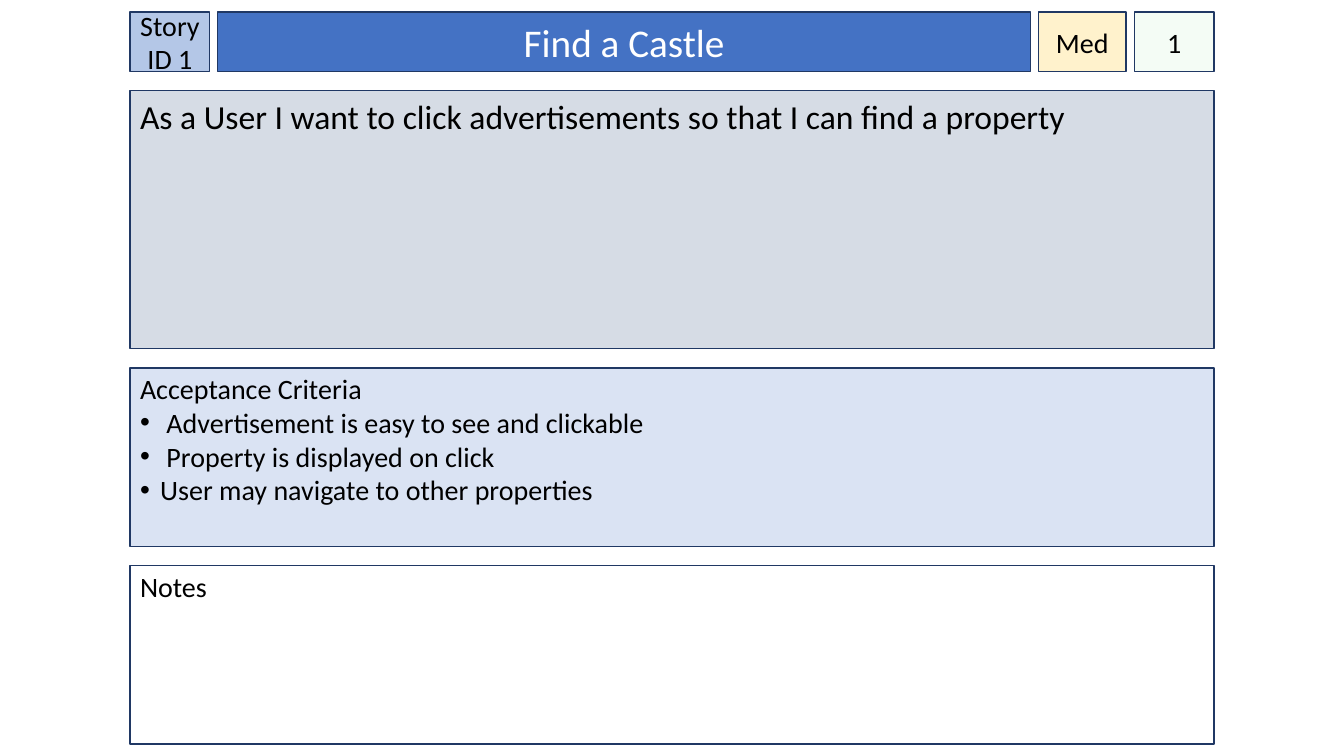
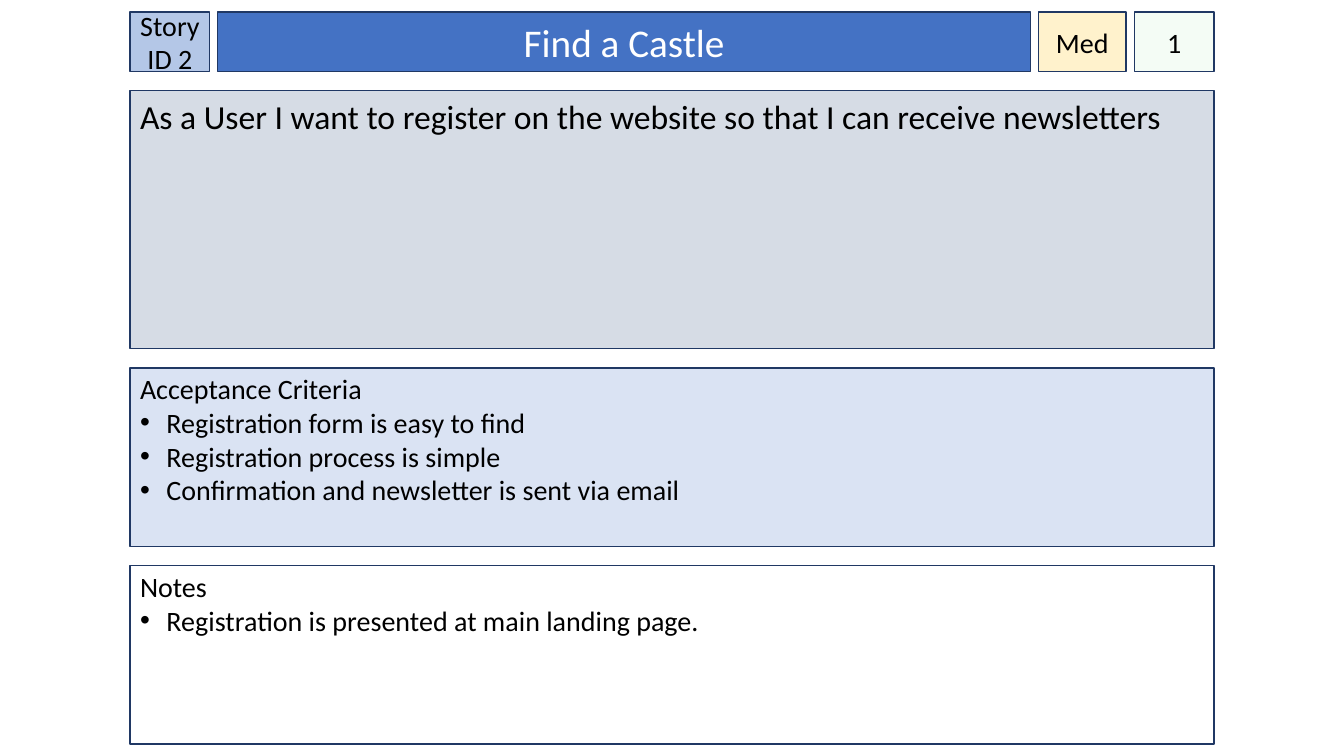
from dataclasses import dataclass
from typing import NamedTuple

from lxml.etree import SubElement
from pptx import Presentation
from pptx.dml.color import RGBColor
from pptx.enum.shapes import MSO_SHAPE
from pptx.enum.text import MSO_ANCHOR, MSO_AUTO_SIZE, PP_ALIGN
from pptx.oxml.ns import qn
from pptx.util import Emu, Pt

EMU_PER_PX = 9144


@dataclass(frozen=True)
class Theme:
    """Colours, type sizes and line width of the story cards."""
    font: str = "Calibri"
    ink: str = "000000"
    title_ink: str = "FFFFFF"
    outline: str = "203864"
    story_id: str = "B4C7E7"
    title: str = "4472C4"
    priority: str = "FFF2CC"
    estimate: str = "CCF0CD"
    story: str = "D6DCE5"
    criteria: str = "DAE3F3"
    notes: str = "FFFFFF"
    title_size: int = 28
    story_size: int = 24
    body_size: int = 20
    outline_width: int = 1
    estimate_opacity: int = 20


class Box(NamedTuple):
    """A rectangle in px."""
    left: int
    top: int
    width: int
    height: int


class Insets(NamedTuple):
    """Text margins in px."""
    left: int
    top: int
    right: int
    bottom: int


@dataclass(frozen=True)
class Story:
    """The content of one story card."""
    story_id: str
    title: str
    priority: str
    estimate: str
    wish: str
    criteria: tuple
    notes: tuple = ()


THEME = Theme()
CARD = Box(129, 12, 1075, 726)
BADGE_INSETS = Insets(0, 5, 0, 5)
PANEL_INSETS = Insets(10, 5, 10, 5)
LIST_INSETS = Insets(10, 4, 10, 5)
HEADER_HEIGHT, STORY_HEIGHT, LIST_HEIGHT = 59, 256, 177
ROW_GAP, BADGE_GAP = 19, 8
BADGE_WIDTH, PRIORITY_WIDTH = 79, 87
BULLET_INDENT = 20

STORIES = (
    Story(
        "Story ID 1", "Find a Castle", "Med", "1",
        "As a User I want to click advertisements so that I can find a property",
        (" Advertisement is easy to see and clickable",
         " Property is displayed on click",
         "User may navigate to other properties"),
    ),
    Story(
        "Story ID 2", "Find a Castle", "Med", "1",
        "As a User I want to register on the website so that I can receive newsletters",
        (" Registration form is easy to find",
         " Registration process is simple",
         " Confirmation and newsletter is sent via email"),
        (" Registration is presented at main landing page.",),
    ),
)


def px(length):
    """Turn px into EMU."""
    return Emu(length * EMU_PER_PX)


def style_panel(panel, box, fill, insets, anchor):
    """Place a panel and give it its fill, outline and text margins."""
    panel.left, panel.top, panel.width, panel.height = map(px, box)
    panel.shadow.inherit = False
    panel.fill.solid()
    panel.fill.fore_color.rgb = RGBColor.from_string(fill)
    panel.line.color.rgb = RGBColor.from_string(THEME.outline)
    panel.line.width = Pt(THEME.outline_width)
    frame = panel.text_frame
    frame.word_wrap = True
    frame.auto_size = MSO_AUTO_SIZE.NONE
    frame.vertical_anchor = anchor
    frame.margin_left, frame.margin_top, frame.margin_right, frame.margin_bottom = map(px, insets)


def add_panel(slide, box, fill, insets, anchor=MSO_ANCHOR.TOP):
    """Add a styled rectangle."""
    panel = slide.shapes.add_shape(MSO_SHAPE.RECTANGLE, *map(px, box))
    style_panel(panel, box, fill, insets, anchor)
    return panel


def write(paragraph, text, size, align=PP_ALIGN.LEFT, color=THEME.ink):
    """Write one run into a paragraph."""
    paragraph.alignment = align
    run = paragraph.add_run()
    run.text = text
    run.font.name = THEME.font
    run.font.size = Pt(size)
    run.font.color.rgb = RGBColor.from_string(color)


def set_bullet(paragraph):
    """Give a paragraph a hanging round bullet."""
    properties = paragraph._p.get_or_add_pPr()
    properties.set("marL", str(px(BULLET_INDENT)))
    properties.set("indent", str(-px(BULLET_INDENT)))
    SubElement(properties, qn("a:buFont"), typeface="Arial")
    SubElement(properties, qn("a:buChar"), char="•")


def set_opacity(panel, percent):
    """Make the fill of a panel translucent."""
    color = panel._element.spPr.find(qn("a:solidFill")).find(qn("a:srgbClr"))
    SubElement(color, qn("a:alpha"), val=str(percent * 1000))


def add_badge(slide, box, fill, text):
    """Add a small header panel with centred text."""
    badge = add_panel(slide, box, fill, BADGE_INSETS, MSO_ANCHOR.MIDDLE)
    write(badge.text_frame.paragraphs[0], text, THEME.body_size, PP_ALIGN.CENTER)
    return badge


def add_header(slide, box, story):
    """Lay out the story id, title, priority and estimate in a row."""
    title_width = box.width - 2 * BADGE_WIDTH - PRIORITY_WIDTH - 3 * BADGE_GAP
    cells = []
    left = box.left
    for width in (BADGE_WIDTH, title_width, PRIORITY_WIDTH, BADGE_WIDTH):
        cells.append(Box(left, box.top, width, box.height))
        left += width + BADGE_GAP
    id_box, title_box, priority_box, estimate_box = cells

    title = slide.shapes.title
    style_panel(title, title_box, THEME.title, PANEL_INSETS, MSO_ANCHOR.MIDDLE)
    write(title.text_frame.paragraphs[0], story.title, THEME.title_size,
          PP_ALIGN.CENTER, THEME.title_ink)
    add_badge(slide, id_box, THEME.story_id, story.story_id)
    add_badge(slide, priority_box, THEME.priority, story.priority)
    estimate = add_badge(slide, estimate_box, THEME.estimate, story.estimate)
    set_opacity(estimate, THEME.estimate_opacity)


def add_wish(slide, box, wish):
    """Add the panel with the user story sentence."""
    panel = add_panel(slide, box, THEME.story, PANEL_INSETS)
    write(panel.text_frame.paragraphs[0], wish, THEME.story_size)


def add_list(slide, box, fill, heading, items):
    """Add a panel with a heading and bulleted items."""
    frame = add_panel(slide, box, fill, LIST_INSETS).text_frame
    write(frame.paragraphs[0], heading, THEME.body_size)
    for item in items:
        paragraph = frame.add_paragraph()
        write(paragraph, item, THEME.body_size)
        set_bullet(paragraph)


def add_story_card(slide, box, story):
    """Stack the four regions of a story card."""
    rows = []
    top = box.top
    for height in (HEADER_HEIGHT, STORY_HEIGHT, LIST_HEIGHT, LIST_HEIGHT):
        rows.append(Box(box.left, top, box.width, height))
        top += height + ROW_GAP
    header_box, wish_box, criteria_box, notes_box = rows
    add_header(slide, header_box, story)
    add_wish(slide, wish_box, story.wish)
    add_list(slide, criteria_box, THEME.criteria, "Acceptance Criteria", story.criteria)
    add_list(slide, notes_box, THEME.notes, "Notes", story.notes)


def main():
    """Build one slide for each story and save the deck."""
    deck = Presentation()
    deck.slide_width, deck.slide_height = px(1333), px(750)
    title_only = deck.slide_layouts.get_by_name("Title Only")
    for story in STORIES:
        add_story_card(deck.slides.add_slide(title_only), CARD, story)
    deck.save("out.pptx")


if __name__ == "__main__":
    main()
